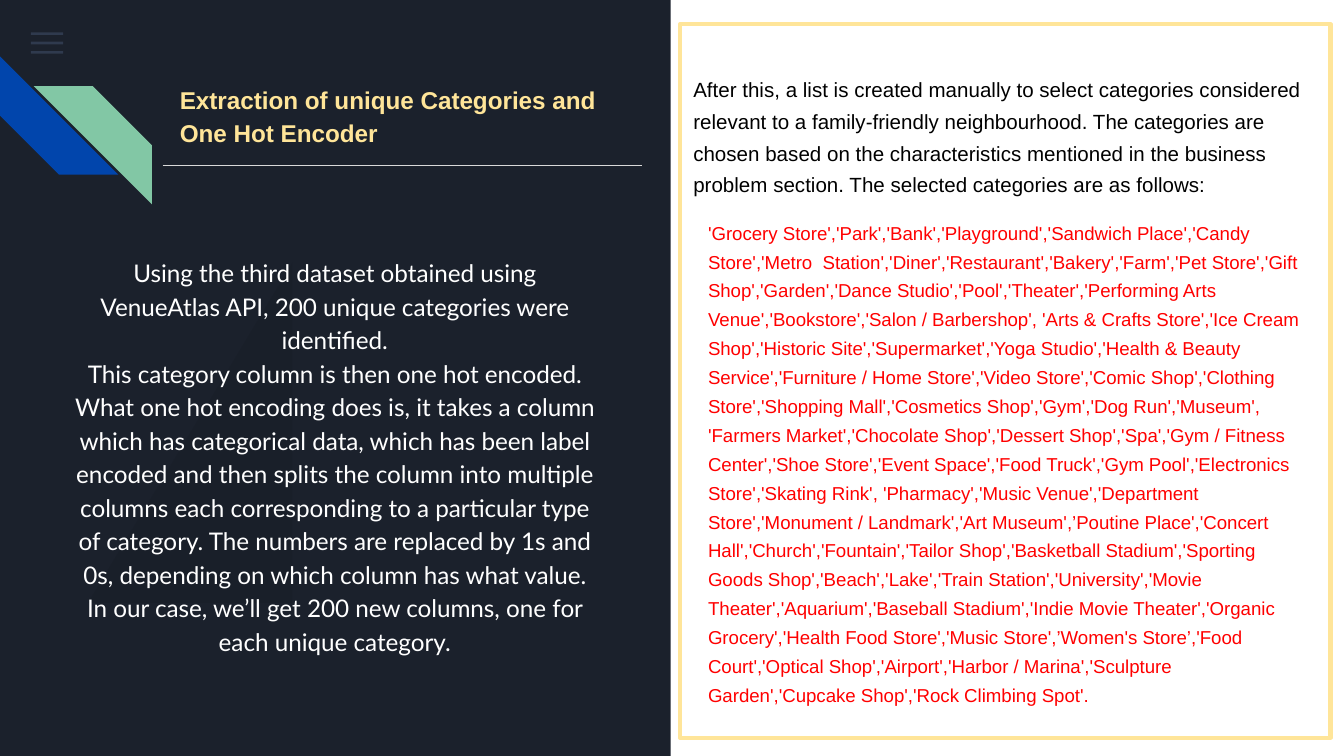
from dataclasses import dataclass

from lxml.etree import SubElement
from pptx import Presentation
from pptx.dml.color import RGBColor
from pptx.enum.shapes import MSO_CONNECTOR, MSO_SHAPE
from pptx.enum.text import PP_ALIGN
from pptx.oxml.ns import qn
from pptx.util import Inches, Pt

SLIDE_WIDTH = 10
SLIDE_HEIGHT = SLIDE_WIDTH * 9 / 16


@dataclass(frozen=True)
class Theme:
    navy: str = "1B212C"
    white: str = "FFFFFF"
    black: str = "000000"
    slate: str = "55688B"
    blue: str = "0145AC"
    green: str = "82C7A5"
    cream: str = "FFE599"
    red: str = "FF0000"
    rule: str = "D9D9D9"
    heading_size: float = 13
    summary_size: float = 13
    intro_size: float = 11
    list_size: float = 10


@dataclass(frozen=True)
class Box:
    left: float
    top: float
    width: float
    height: float


@dataclass(frozen=True)
class Panel:
    box: Box
    geometry: MSO_SHAPE
    color: str
    opacity: int = 100
    rotation: int = 0


@dataclass(frozen=True)
class Copy:
    box: Box
    paragraphs: tuple[str, ...]
    size: float
    color: str
    font: str = "Arial"
    bold: bool = False
    spacing: float = 1.29
    align: PP_ALIGN = PP_ALIGN.LEFT


THEME = Theme()

BACKDROP = [
    Panel(Box(4.99, 0, 5.01, SLIDE_HEIGHT), MSO_SHAPE.RECTANGLE, THEME.white),
    Panel(Box(0, 0, 0.69, 0.64), MSO_SHAPE.RECTANGLE, THEME.navy),
    *(
        Panel(Box(0.23, 0.24 + 0.07 * row, 0.24, 0.02), MSO_SHAPE.RECTANGLE, THEME.slate, 36)
        for row in range(3)
    ),
    Panel(Box(0, 0.42, 0.88, 0.88), MSO_SHAPE.DIAGONAL_STRIPE, THEME.blue, rotation=270),
    Panel(Box(0.25, 0.64, 0.88, 0.88), MSO_SHAPE.DIAGONAL_STRIPE, THEME.green, rotation=90),
    Panel(Box(0.15, 2.46, 2.53, 1.52), MSO_SHAPE.RIGHT_TRIANGLE, THEME.black, 5, 270),
]

HEADING = Copy(
    Box(1.24, 0.5, 3.3, 0.67),
    ("Extraction of unique Categories and One Hot Encoder",),
    THEME.heading_size, THEME.cream, bold=True, spacing=1.15,
)
SUMMARY = Copy(
    Box(0.43, 1.79, 4.12, 3.16),
    (
        "Using the third dataset obtained using VenueAtlas API, 200 unique categories "
        "were identified.",
        "This category column is then one hot encoded. What one hot encoding does is, it takes "
        "a column which has categorical data, which has been label encoded and then splits the "
        "column into multiple columns each corresponding to a particular type of category. The "
        "numbers are replaced by 1s and 0s, depending on which column has what value. In our "
        "case, we’ll get 200 new columns, one for each unique category.",
    ),
    THEME.summary_size, THEME.white, font="Lato", spacing=1.15, align=PP_ALIGN.CENTER,
)
INTRO = Copy(
    Box(5.06, 0.42, 4.78, 1.15),
    (
        "After this, a list is created manually to select categories considered relevant to a "
        "family-friendly neighbourhood. The categories are chosen based on the characteristics "
        "mentioned in the business problem section. The selected categories are as follows:",
    ),
    THEME.intro_size, THEME.black,
)
CATEGORIES = Copy(
    Box(5.17, 1.5, 4.67, 3.88),
    (
        "'Grocery Store','Park','Bank','Playground','Sandwich Place','Candy Store',"
        "'Metro  Station','Diner','Restaurant','Bakery','Farm','Pet Store','Gift Shop','Garden',"
        "'Dance Studio','Pool','Theater','Performing Arts Venue','Bookstore',"
        "'Salon / Barbershop', 'Arts & Crafts Store','Ice Cream Shop','Historic Site',"
        "'Supermarket','Yoga Studio','Health & Beauty Service','Furniture / Home Store',"
        "'Video Store','Comic Shop','Clothing Store','Shopping Mall','Cosmetics Shop','Gym',"
        "'Dog Run','Museum',",
        "'Farmers Market','Chocolate Shop','Dessert Shop','Spa','Gym / Fitness Center',"
        "'Shoe Store','Event Space','Food Truck','Gym Pool','Electronics Store',"
        "'Skating Rink', 'Pharmacy','Music Venue','Department Store','Monument / Landmark',"
        "'Art Museum',’Poutine Place','Concert Hall','Church','Fountain','Tailor Shop',"
        "'Basketball Stadium','Sporting Goods Shop','Beach','Lake','Train Station',"
        "'University','Movie Theater','Aquarium','Baseball Stadium','Indie Movie Theater',"
        "'Organic Grocery','Health Food Store','Music Store',’Women's Store’,'Food Court',"
        "'Optical Shop','Airport','Harbor / Marina','Sculpture Garden','Cupcake Shop',"
        "'Rock Climbing Spot'.",
    ),
    THEME.list_size, THEME.red,
)


def place(box: Box) -> tuple:
    return Inches(box.left), Inches(box.top), Inches(box.width), Inches(box.height)


def draw_panel(slide, panel: Panel) -> None:
    shape = slide.shapes.add_shape(panel.geometry, *place(panel.box))
    shape.shadow.inherit = False
    shape.rotation = panel.rotation
    shape.line.fill.background()
    shape.fill.solid()
    shape.fill.fore_color.rgb = RGBColor.from_string(panel.color)
    if panel.opacity < 100:
        color = shape._element.spPr.find(qn("a:solidFill"))[0]
        SubElement(color, qn("a:alpha"), val=str(panel.opacity * 1000))


def draw_copy(slide, copy: Copy) -> None:
    frame = slide.shapes.add_textbox(*place(copy.box)).text_frame
    frame.word_wrap = True
    frame.margin_left = frame.margin_right = Inches(0.1)
    frame.margin_top = frame.margin_bottom = Inches(0.1)
    for index, text in enumerate(copy.paragraphs):
        paragraph = frame.add_paragraph() if index else frame.paragraphs[0]
        paragraph.text = text
        paragraph.alignment = copy.align
        paragraph.line_spacing = copy.spacing
        paragraph.font.name = copy.font
        paragraph.font.size = Pt(copy.size)
        paragraph.font.bold = copy.bold
        paragraph.font.color.rgb = RGBColor.from_string(copy.color)


def draw_heading_rule(slide) -> None:
    rule = slide.shapes.add_connector(
        MSO_CONNECTOR.STRAIGHT, Inches(1.21), Inches(1.23), Inches(4.78), Inches(1.23)
    )
    rule.line.color.rgb = RGBColor.from_string(THEME.rule)
    rule.line.width = Pt(0.75)
    SubElement(rule._element.spPr, qn("a:effectLst"))


def draw_frame(slide, box: Box) -> None:
    border = slide.shapes.add_shape(MSO_SHAPE.RECTANGLE, *place(box))
    border.shadow.inherit = False
    border.fill.background()
    border.line.color.rgb = RGBColor.from_string(THEME.cream)
    border.line.width = Pt(2.25)


def main() -> None:
    deck = Presentation()
    deck.slide_width, deck.slide_height = Inches(SLIDE_WIDTH), Inches(SLIDE_HEIGHT)
    slide = deck.slides.add_slide(deck.slide_layouts[6])
    slide.background.fill.solid()
    slide.background.fill.fore_color.rgb = RGBColor.from_string(THEME.navy)

    # Backdrop and ornaments
    for panel in BACKDROP:
        draw_panel(slide, panel)

    # Heading, summary and category list
    for copy in (HEADING, INTRO, CATEGORIES, SUMMARY):
        draw_copy(slide, copy)

    # Heading rule and frame around the list
    draw_heading_rule(slide)
    draw_frame(slide, Box(5.06, 0.18, 4.84, 5.31))

    deck.save("out.pptx")


if __name__ == "__main__":
    main()
